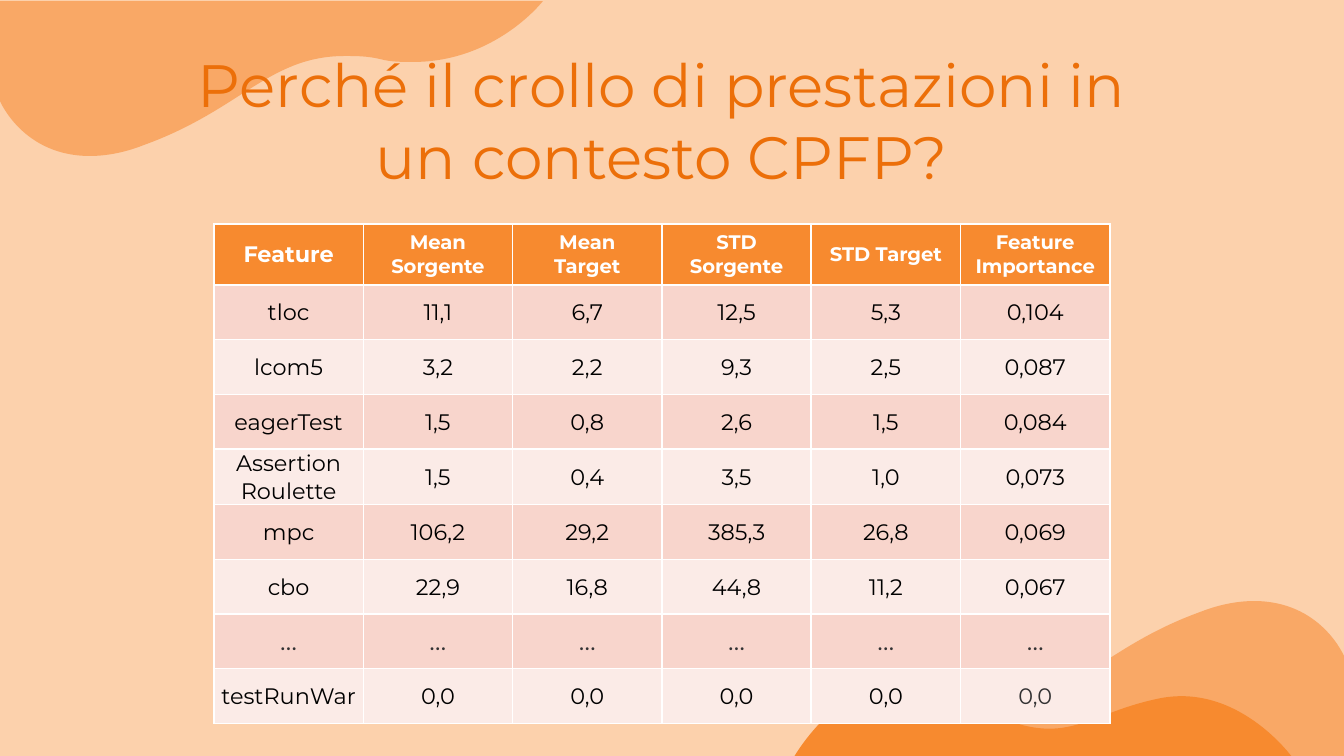
from dataclasses import dataclass

from lxml.etree import SubElement
from pptx import Presentation
from pptx.dml.color import RGBColor
from pptx.enum.text import MSO_ANCHOR, MSO_AUTO_SIZE, PP_ALIGN
from pptx.oxml.ns import qn
from pptx.util import Emu, Pt

EMU_PER_PX = 914400 / 134.4


@dataclass(frozen=True)
class Theme:
    font: str = "Montserrat"
    background: str = "FCD1AC"
    pale_wave: str = "F9A866"
    accent: str = "F78A2F"
    title: str = "EC6F09"
    band_dark: str = "F8D5CC"
    band_light: str = "FBEBE7"
    white: str = "FFFFFF"
    black: str = "000000"
    grey: str = "333233"
    title_size: float = 32
    body_size: float = 12
    header_size: float = 10.5
    ellipsis_size: float = 14
    border_width: float = 1


THEME = Theme()
SLIDE_W, SLIDE_H = 1344, 756

# Each wave: start point, then lines (one point) or Bézier curves (three points)
CORNER_WAVE = [
    [(0, 1)],
    [(0, 101)],
    [(0, 101), (23, 156), (90, 156)],
    [(105, 156), (124, 153), (144, 145)],
    [(241, 110), (269, 56), (345, 56)],
    [(356, 56), (367, 56), (380, 59)],
    [(391, 62), (402, 62), (413, 62)],
    [(496, 62), (543, 1), (543, 1)],
]
FRONT_WAVE = [
    [(1292, 757)],
    [(1292, 757), (1237, 681), (1157, 699)],
    [(1077, 716), (1063, 757), (962, 698)],
    [(862, 637), (794, 757), (794, 757)],
]

HEADERS = ["Feature", "Mean Sorgente", "Mean Target", "STD Sorgente",
           "STD Target", "Feature Importance"]
FEATURES = [
    ["tloc", "11,1", "6,7", "12,5", "5,3", "0,104"],
    ["lcom5", "3,2", "2,2", "9,3", "2,5", "0,087"],
    ["eagerTest", "1,5", "0,8", "2,6", "1,5", "0,084"],
    ["Assertion\nRoulette", "1,5", "0,4", "3,5", "1,0", "0,073"],
    ["mpc", "106,2", "29,2", "385,3", "26,8", "0,069"],
    ["cbo", "22,9", "16,8", "44,8", "11,2", "0,067"],
    ["…"] * 6,
    ["testRunWar"] + ["0,0"] * 5,
]


def px(length):
    return Emu(round(length * EMU_PER_PX))


def rgb(colour):
    return RGBColor.from_string(colour)


def add_run(paragraph, text, size, colour, bold=False):
    paragraph.alignment = PP_ALIGN.CENTER
    run = paragraph.add_run()
    run.text = text
    run.font.name = THEME.font
    run.font.size = Pt(size)
    run.font.bold = bold
    run.font.color.rgb = rgb(colour)


def bend_segments(wave, segments):
    """Turn the straight segments that have control points into Bézier curves."""
    left = min(segment[-1][0] for segment in segments)
    top = min(segment[-1][1] for segment in segments)
    lines = list(wave.element.iter(qn("a:lnTo")))
    for line, segment in zip(lines, segments[1:]):
        if len(segment) == 3:
            line.tag = qn("a:cubicBezTo")
            for point in list(line):
                line.remove(point)
            for x, y in segment:
                SubElement(line, qn("a:pt"), x=str(x - left), y=str(y - top))


def add_wave(slide, segments, colour):
    builder = slide.shapes.build_freeform(*segments[0][0], scale=EMU_PER_PX)
    builder.add_line_segments([segment[-1] for segment in segments[1:]], close=True)
    wave = builder.convert_to_shape()
    bend_segments(wave, segments)
    wave.shadow.inherit = False
    wave.fill.solid()
    wave.fill.fore_color.rgb = rgb(colour)
    wave.line.fill.background()
    return wave


def format_title(slide, text):
    title = slide.shapes.title
    # Bring the title in front of the waves
    title.element.getparent().append(title.element)
    title.left, title.top, title.width, title.height = map(px, (150, 35, 1024, 99))
    frame = title.text_frame
    frame.word_wrap = True
    frame.auto_size = MSO_AUTO_SIZE.NONE
    frame.vertical_anchor = MSO_ANCHOR.TOP
    frame.margin_left = frame.margin_right = px(13)
    frame.margin_top = frame.margin_bottom = px(13)
    add_run(frame.paragraphs[0], text, THEME.title_size, THEME.title)


def add_borders(cell):
    properties = cell._tc.get_or_add_tcPr()
    for side in ("a:lnL", "a:lnR", "a:lnT", "a:lnB"):
        border = SubElement(properties, qn(side), w=str(Pt(THEME.border_width)))
        fill = SubElement(border, qn("a:solidFill"))
        SubElement(fill, qn("a:srgbClr"), val=THEME.white)


def fill_cell(cell, text, size, colour, background, bold=False, tight=False):
    add_borders(cell)
    cell.fill.solid()
    cell.fill.fore_color.rgb = rgb(background)
    cell.vertical_anchor = MSO_ANCHOR.MIDDLE
    if tight:
        cell.margin_left = cell.margin_right = cell.margin_top = px(1)
        cell.margin_bottom = 0
    frame = cell.text_frame
    for index, line in enumerate(text.split("\n")):
        paragraph = frame.add_paragraph() if index else frame.paragraphs[0]
        add_run(paragraph, line, size, colour, bold)


def add_feature_table(slide):
    table = slide.shapes.add_table(len(FEATURES) + 1, len(HEADERS),
                                   px(214), px(224), px(896), px(492)).table
    table.horz_banding = False

    # Header row
    for column, text in enumerate(HEADERS):
        size = THEME.header_size if column else THEME.body_size
        fill_cell(table.cell(0, column), text, size, THEME.white, THEME.accent, bold=True)

    # Banded feature rows; the ellipses and the very last value are grey
    last_cell = (len(FEATURES), len(HEADERS) - 1)
    for row, values in enumerate(FEATURES, start=1):
        band = THEME.band_dark if row % 2 else THEME.band_light
        for column, text in enumerate(values):
            muted = text == "…" or (row, column) == last_cell
            size = THEME.ellipsis_size if text == "…" else THEME.body_size
            fill_cell(table.cell(row, column), text, size,
                      THEME.grey if muted else THEME.black, band, tight=not muted)


def main():
    deck = Presentation()
    deck.slide_width, deck.slide_height = px(SLIDE_W), px(SLIDE_H)
    slide = deck.slides.add_slide(deck.slide_layouts.get_by_name("Title Only"))
    slide.background.fill.solid()
    slide.background.fill.fore_color.rgb = rgb(THEME.background)

    # Decorative waves: the lower right one is the corner wave turned around
    lower_wave = add_wave(slide, CORNER_WAVE, THEME.pale_wave)
    lower_wave.rotation = 180
    lower_wave.left = deck.slide_width - lower_wave.width
    lower_wave.top = deck.slide_height - lower_wave.height
    add_wave(slide, CORNER_WAVE, THEME.pale_wave)
    add_wave(slide, FRONT_WAVE, THEME.accent)

    # Content
    format_title(slide, "Perché il crollo di prestazioni in un contesto CPFP?")
    add_feature_table(slide)
    deck.save("out.pptx")


if __name__ == "__main__":
    main()
